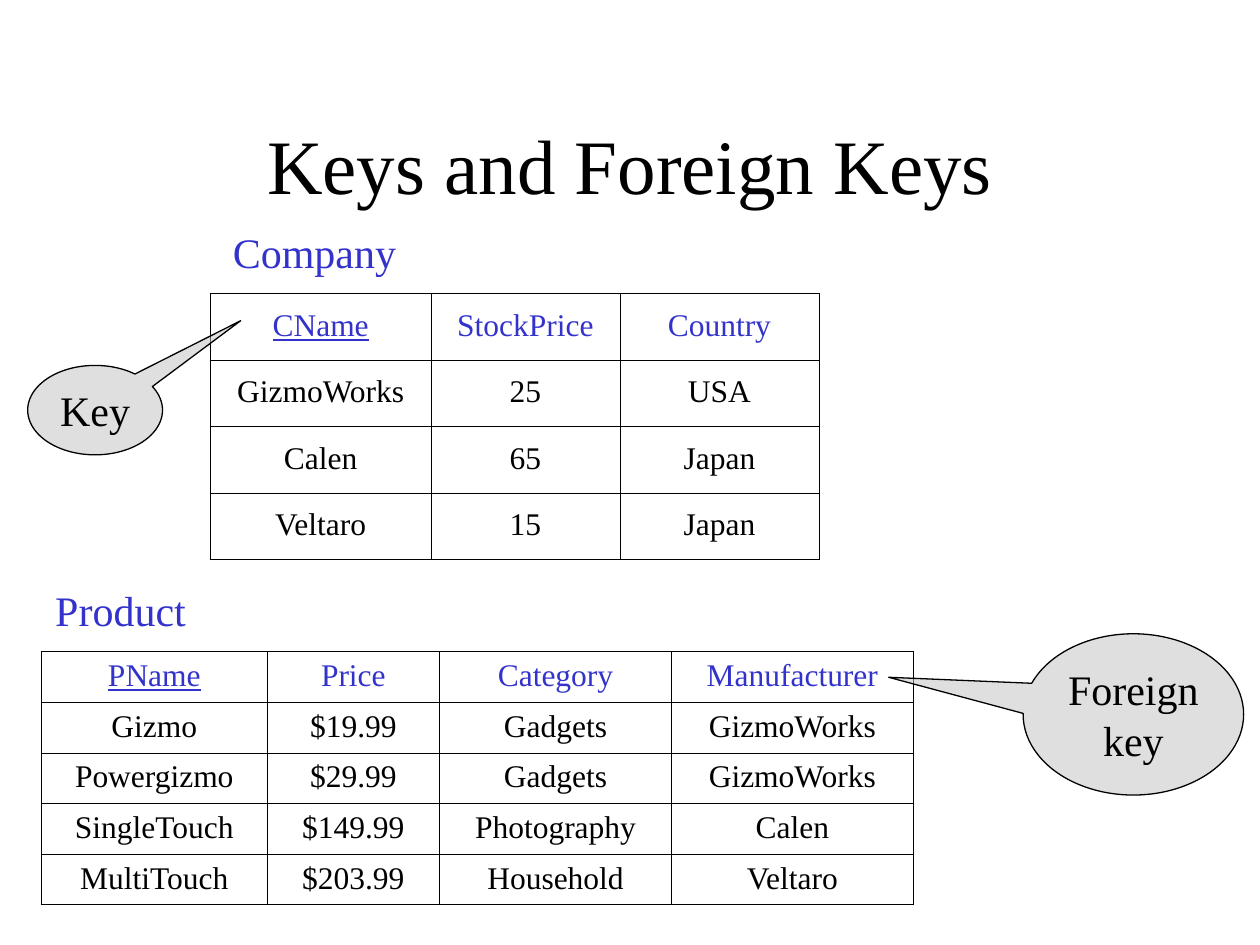
from lxml.etree import SubElement
from pptx import Presentation
from pptx.dml.color import RGBColor
from pptx.enum.shapes import MSO_SHAPE
from pptx.enum.text import MSO_ANCHOR as ANCHOR, PP_ALIGN as ALIGN
from pptx.oxml.ns import qn
from pptx.util import Inches, Pt

FONT = "Times New Roman"
BLACK, BLUE, GREY, WHITE = "000000", "3333CC", "C0C0C0", "FFFFFF"
OUTER, INNER = 0.5, 0.23

COMPANIES = [
    ["CName", "StockPrice", "Country"],
    ["GizmoWorks", "25", "USA"],
    ["Calen", "65", "Japan"],
    ["Veltaro", "15", "Japan"],
]
PRODUCTS = [
    ["PName", "Price", "Category", "Manufacturer"],
    ["Gizmo", "$19.99", "Gadgets", "GizmoWorks"],
    ["Powergizmo", "$29.99", "Gadgets", "GizmoWorks"],
    ["SingleTouch", "$149.99", "Photography", "Calen"],
    ["MultiTouch", "$203.99", "Household", "Veltaro"],
]


def color(value):
    return RGBColor.from_string(value)


def inches(box):
    return [Inches(length) for length in box]


def set_format(target, values):
    for name, value in values.items():
        setattr(target, name, value)


def write(frame, text, size, ink, underline=False, **layout):
    paragraph = frame.paragraphs[0]
    paragraph.text = text
    set_format(paragraph, {"space_before": Pt(0.1), "space_after": Pt(0.1), **layout})
    for run in paragraph.runs:
        set_format(run.font, {"name": FONT, "size": Pt(size), "underline": underline})
        run.font.color.rgb = color(ink)


def add_text(slide, box, text, size, ink, align, anchor, wrap):
    frame = slide.shapes.add_textbox(*inches(box)).text_frame
    set_format(frame, {"word_wrap": wrap, "vertical_anchor": anchor})
    write(frame, text, size, ink, alignment=align)


def add_heading(slide, box, text):
    add_text(slide, box, text, 24, BLUE, ALIGN.LEFT, ANCHOR.TOP, False)


def set_borders(cell, widths):
    properties = cell._tc.get_or_add_tcPr()
    for side, width in widths.items():
        line = SubElement(properties, qn(f"a:ln{side}"), w=str(Pt(width)))
        fill = SubElement(line, qn("a:solidFill"))
        SubElement(fill, qn("a:srgbClr"), val=BLACK)


def add_relation(slide, box, rows, widths, fill=None):
    last_row, last_column = len(rows) - 1, len(widths) - 1
    table = slide.shapes.add_table(len(rows), len(widths), *inches(box)).table
    set_format(table, {"first_row": False, "horz_banding": False})
    for column, width in zip(table.columns, widths):
        column.width = Inches(width)
    for r, values in enumerate(rows):
        for c, value in enumerate(values):
            cell = table.cell(r, c)
            cell.vertical_anchor = ANCHOR.MIDDLE
            write(cell.text_frame, value, 18, BLACK if r else BLUE,
                  underline=r == c == 0, alignment=ALIGN.CENTER,
                  line_spacing=0.93, space_before=Pt(4.6))
            set_borders(cell, {
                "L": OUTER if c == 0 else INNER,
                "R": OUTER if c == last_column else INNER,
                "T": OUTER if r <= 1 else INNER,
                "B": OUTER if r in (0, last_row) else INNER,
            })
            if fill:
                cell.fill.solid()
                cell.fill.fore_color.rgb = color(fill)
            else:
                cell.fill.background()


def add_callout(slide, box, text, tip):
    shape = slide.shapes.add_shape(MSO_SHAPE.OVAL_CALLOUT, *inches(box))
    shape.shadow.inherit = False
    for index, offset in enumerate(tip):
        shape.adjustments[index] = offset
    shape.fill.solid()
    shape.fill.fore_color.rgb = color(GREY)
    tint = shape.fill._xPr.find(qn("a:solidFill"))[0]
    SubElement(tint, qn("a:alpha"), val="50000")
    shape.line.color.rgb = color(BLACK)
    shape.line.width = Pt(0.75)
    set_format(shape.text_frame, {"word_wrap": False, "vertical_anchor": ANCHOR.MIDDLE})
    write(shape.text_frame, text, 24, BLACK, alignment=ALIGN.CENTER)


def main():
    presentation = Presentation()
    set_format(presentation, {"slide_width": Inches(10), "slide_height": Inches(7.5)})
    slide = presentation.slides.add_slide(presentation.slide_layouts[6])
    add_text(slide, (0.75, 0.67, 8.5, 1.25), "Keys and Foreign Keys", 44, BLACK,
             ALIGN.CENTER, ANCHOR.MIDDLE, True)
    add_relation(slide, (0.33, 5.17, 6.92, 2.01), PRODUCTS, (1.79, 1.37, 1.84, 1.92))
    add_heading(slide, (0.34, 4.59, 1.3, 0.5), "Product")
    add_heading(slide, (1.75, 1.75, 1.56, 0.5), "Company")
    add_relation(slide, (1.67, 2.33, 4.84, 2.11), COMPANIES, (1.75, 1.5, 1.58), WHITE)
    add_callout(slide, (0.22, 2.9, 1.07, 0.71), "Key", (1.08, -1))
    add_callout(slide, (8.12, 5.03, 1.75, 1.28), "Foreign\nkey", (-1.11, -0.23))
    presentation.save("out.pptx")


if __name__ == "__main__":
    main()
